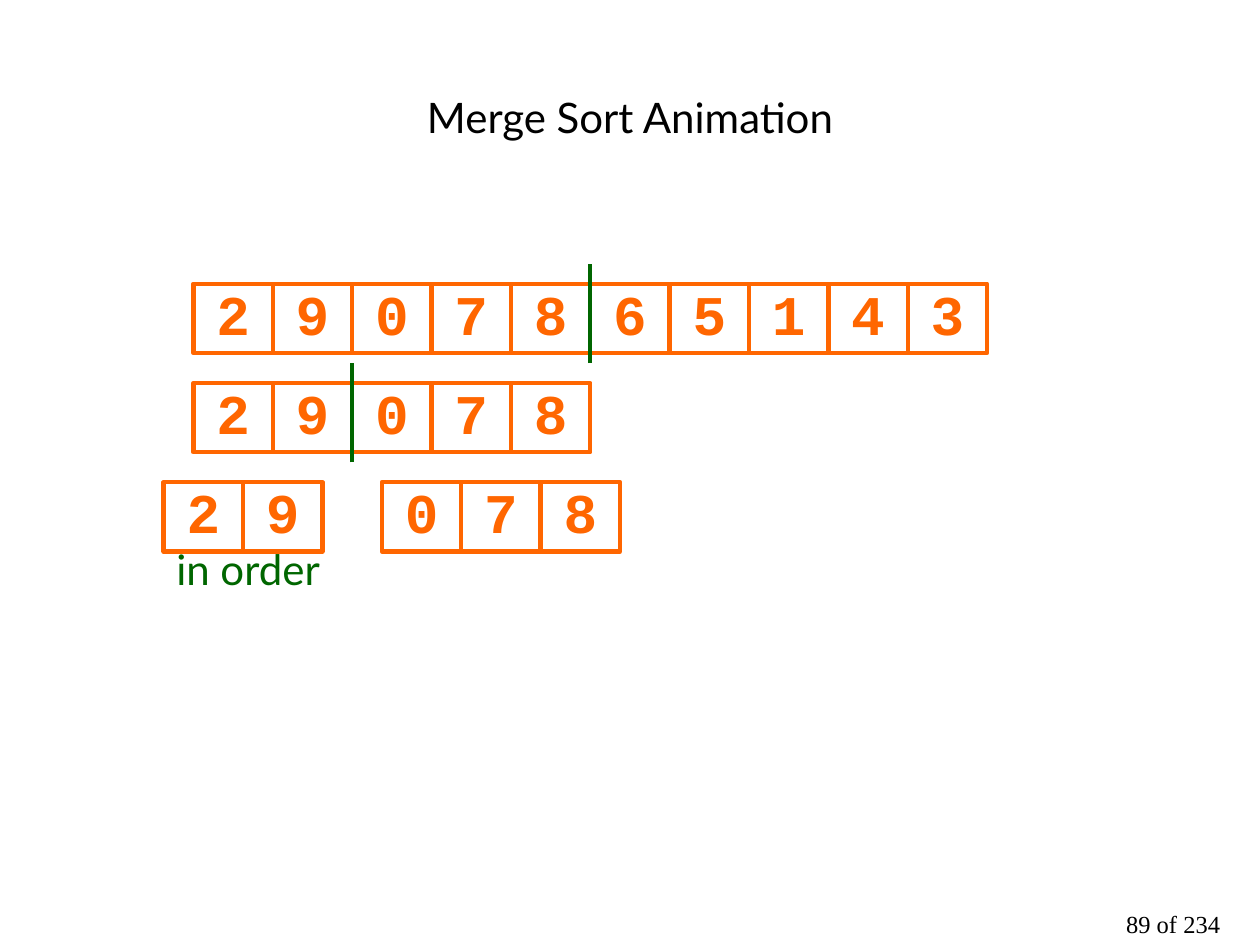
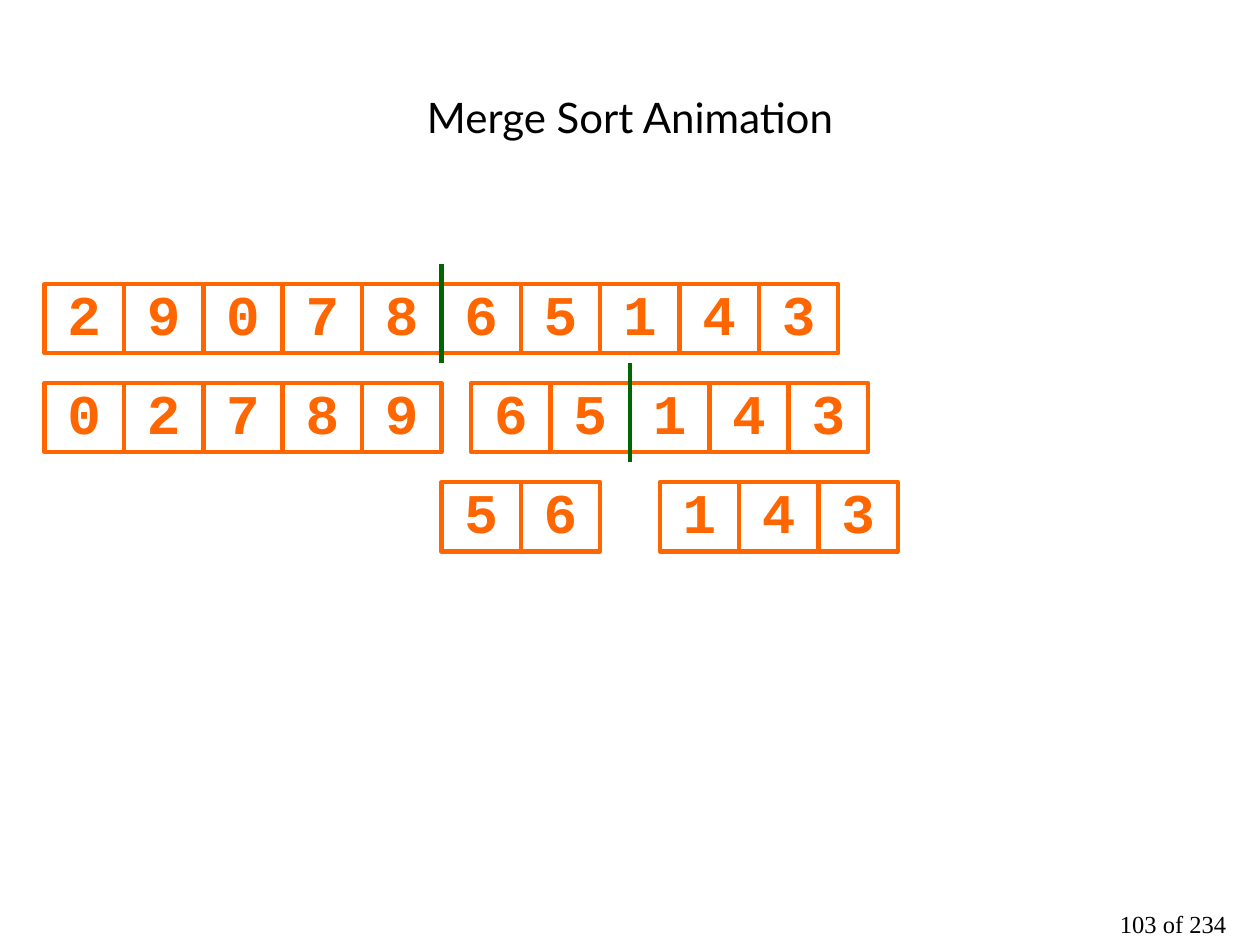
from dataclasses import dataclass

from pptx import Presentation
from pptx.dml.color import RGBColor
from pptx.enum.shapes import MSO_CONNECTOR, MSO_SHAPE
from pptx.enum.text import MSO_ANCHOR, PP_ALIGN
from pptx.oxml.ns import qn
from pptx.slide import Slide
from pptx.text.text import TextFrame
from pptx.util import Cm, Pt
from lxml import etree

RECTANGLE = MSO_SHAPE.RECTANGLE
STRAIGHT = MSO_CONNECTOR.STRAIGHT
MIDDLE, TOP = MSO_ANCHOR.MIDDLE, MSO_ANCHOR.TOP
CENTER = PP_ALIGN.CENTER

ORANGE, GREEN, BLACK = "FF6600", "006600", "000000"
TITLE_FONT, DIGIT_FONT, PAGE_FONT = "Lato", "Courier New", "Times New Roman"
LINE_WIDTH = Pt(2.5)

# Grid of the sorting steps, in centimetres
CELL_WIDTH, CELL_HEIGHT = 1.6, 1.4
FIRST_ROW_TOP, ROW_PITCH = 5.72, 2.0
DIVIDER_OVERHANG = 0.4
PAGE_COUNT = 234


@dataclass(frozen=True)
class Run:
    """Neighbouring array cells, with an optional split and caption."""
    digits: str
    row: int
    left: float
    split_after: int = 0
    caption: str = ""

    @property
    def top(self) -> float:
        return FIRST_ROW_TOP + self.row * ROW_PITCH


@dataclass(frozen=True)
class Step:
    page: int
    runs: tuple[Run, ...]


STEPS = (
    Step(89, (
        Run("2907865143", 0, 3.9, split_after=5),
        Run("29078", 1, 3.9, split_after=2),
        Run("29", 2, 3.3, caption="in order"),
        Run("078", 2, 7.7),
    )),
    Step(103, (
        Run("2907865143", 0, 0.9, split_after=5),
        Run("02789", 1, 0.9),
        Run("65143", 1, 9.5, split_after=2),
        Run("56", 2, 8.9),
        Run("143", 2, 13.3),
    )),
)


def rgb(color: str) -> RGBColor:
    return RGBColor.from_string(color)


def write(frame: TextFrame, text: str, font: str, size: float, color: str,
          spacing: float = 1.0, bold: bool = False, anchor: MSO_ANCHOR = MIDDLE,
          margins: tuple[float, float] = (0, 0)) -> None:
    """Fill a frame with one centred paragraph."""
    frame.word_wrap = True
    frame.vertical_anchor = anchor
    frame.margin_left = frame.margin_right = Cm(margins[0])
    frame.margin_top = frame.margin_bottom = Cm(margins[1])
    paragraph = frame.paragraphs[0]
    paragraph.text = text
    paragraph.alignment = CENTER
    paragraph.line_spacing = spacing
    paragraph.font.name = font
    paragraph.font.size = Pt(size)
    paragraph.font.bold = bold
    paragraph.font.color.rgb = rgb(color)


def draw_cell(slide: Slide, digit: str, left: float, top: float) -> None:
    cell = slide.shapes.add_shape(
        RECTANGLE, Cm(left), Cm(top), Cm(CELL_WIDTH), Cm(CELL_HEIGHT))
    cell.shadow.inherit = False
    cell.fill.background()
    cell.line.color.rgb = rgb(ORANGE)
    cell.line.width = LINE_WIDTH
    write(cell.text_frame, digit, DIGIT_FONT, 32, ORANGE, 0.85, bold=True)


def draw_divider(slide: Slide, run: Run) -> None:
    x = Cm(run.left + run.split_after * CELL_WIDTH)
    top = run.top - DIVIDER_OVERHANG
    divider = slide.shapes.add_connector(
        STRAIGHT, x, Cm(top + ROW_PITCH), x, Cm(top))
    divider.line.color.rgb = rgb(GREEN)
    divider.line.width = LINE_WIDTH
    etree.SubElement(divider._element.spPr, qn("a:effectLst"))


def draw_caption(slide: Slide, run: Run) -> None:
    width = 4.6
    center = run.left + len(run.digits) * CELL_WIDTH / 2
    caption = slide.shapes.add_textbox(
        Cm(center - width / 2 + 0.1), Cm(run.top + CELL_HEIGHT), Cm(width), Cm(0.87))
    write(caption.text_frame, run.caption, TITLE_FONT, 24, GREEN, 0.85, anchor=TOP)


def draw_run(slide: Slide, run: Run) -> None:
    for index, digit in enumerate(run.digits):
        draw_cell(slide, digit, run.left + index * CELL_WIDTH, run.top)
    if run.split_after:
        draw_divider(slide, run)
    if run.caption:
        draw_caption(slide, run)


def draw_frame(slide: Slide, page: int) -> None:
    """Title and page number, shared by all slides."""
    title = slide.shapes.title
    title.left, title.top = Cm(1.27), Cm(0.76)
    title.width, title.height = Cm(22.86), Cm(3.18)
    write(title.text_frame, "Merge Sort Animation", TITLE_FONT, 24, BLACK)

    page_number = slide.shapes.add_textbox(Cm(21.9), Cm(18.34), Cm(3.5), Cm(0.71))
    write(page_number.text_frame, f"{page} of {PAGE_COUNT}", PAGE_FONT, 14, BLACK,
          0.75, anchor=TOP, margins=(0.25, 0.13))


def main() -> None:
    deck = Presentation()
    deck.slide_width, deck.slide_height = Cm(25.4), Cm(19.05)
    title_only = deck.slide_layouts[5]
    for step in STEPS:
        slide = deck.slides.add_slide(title_only)
        draw_frame(slide, step.page)
        for run in step.runs:
            draw_run(slide, run)
    deck.save("out.pptx")


if __name__ == "__main__":
    main()
